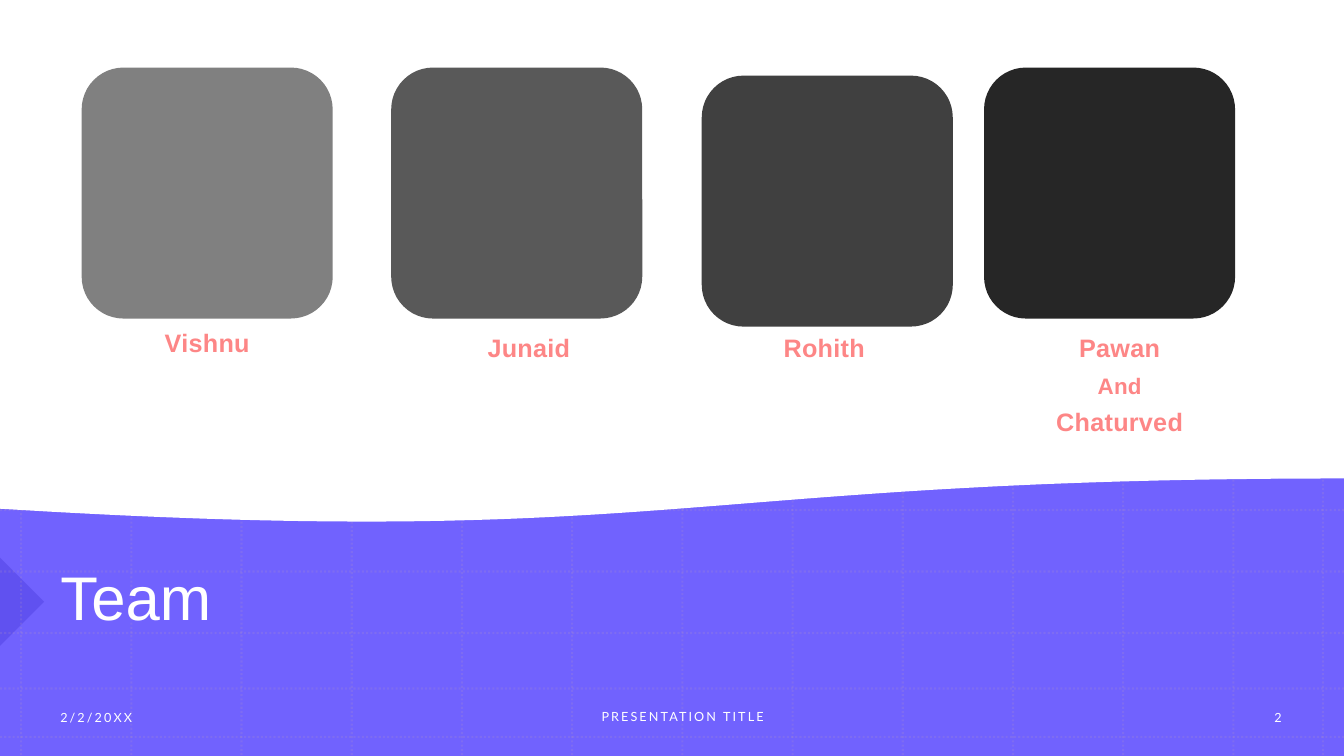
from lxml import etree
from pptx import Presentation
from pptx.dml.color import RGBColor
from pptx.enum.dml import MSO_LINE
from pptx.enum.shapes import MSO_CONNECTOR, MSO_SHAPE
from pptx.enum.text import MSO_ANCHOR, PP_ALIGN
from pptx.oxml.ns import qn
from pptx.util import Inches, Pt

WHITE = RGBColor(0xFF, 0xFF, 0xFF)
PURPLE = RGBColor(0x71, 0x62, 0xFE)
INDIGO = RGBColor(0x12, 0x01, 0xAF)
GRID = RGBColor(0xB4, 0x95, 0xC2)
CORAL = RGBColor(0xFD, 0x86, 0x86)
GRAYS = [RGBColor(v, v, v) for v in (0x80, 0x59, 0x40, 0x26)]
STRAIGHT = MSO_CONNECTOR.STRAIGHT
LEFT, CENTER = PP_ALIGN.LEFT, PP_ALIGN.CENTER
TOP, MIDDLE = MSO_ANCHOR.TOP, MSO_ANCHOR.MIDDLE
W, H = 13.33, 7.5


def set_alpha(fmt, percent):
    """Make a solid shape or line fill partly transparent."""
    color = fmt._xPr.find(qn("a:solidFill"))[0]
    etree.SubElement(color, qn("a:alpha"), val=str(percent * 1000))


def write(tf, lines, font, color, spacing, align, anchor, bold=False, after=0):
    """Fill a text frame with (text, size) paragraphs; after is a share of the size."""
    tf.word_wrap = True
    tf.vertical_anchor = anchor
    for i, (text, size) in enumerate(lines):
        p = tf.paragraphs[0] if i == 0 else tf.add_paragraph()
        p.alignment = align
        p.space_after = Pt(after * size)
        r = p.add_run()
        r.text = text
        for name, value in {"name": font, "size": Pt(size), "bold": bold}.items():
            setattr(r.font, name, value)
        r.font.color.rgb = color
        r._r.get_or_add_rPr().set("spc", str(round(spacing * 100)))


prs = Presentation()
prs.slide_width, prs.slide_height = Inches(W), Inches(H)
s = prs.slides.add_slide(prs.slide_layouts[5])
shapes = s.shapes

# Purple ground and side arrow
ground = shapes.add_shape(MSO_SHAPE.RECTANGLE, 0, 0, Inches(W), Inches(H))
arrow = shapes.add_shape(MSO_SHAPE.RIGHT_TRIANGLE, Inches(-0.31), Inches(5.66),
                         Inches(0.62), Inches(0.62))
arrow.rotation = 225
for sp, color in ((ground, PURPLE), (arrow, INDIGO)):
    sp.shadow.inherit = False
    sp.fill.solid()
    sp.fill.fore_color.rgb = color
    sp.line.fill.background()
set_alpha(arrow.fill, 17)

# Dotted grid on the ground
columns = [0.21 + 1.093 * i for i in range(12)] + [13.12]
rows = [5.06, 5.67, 6.28, 6.83, 7.31]
grid = [(x, 0, x, H) for x in columns] + [(0, y, W, y) for y in rows]
for ends in grid:
    line = shapes.add_connector(STRAIGHT, *(Inches(v) for v in ends))
    line.line.color.rgb = GRID
    line.line.width = Pt(1.5)
    line.line.dash_style = MSO_LINE.ROUND_DOT
    set_alpha(line.line.fill, 20)
    etree.SubElement(line._element.spPr, qn("a:effectLst"))

# White area whose lower edge is a cubic curve
curve = [(W, 4.74), (6.7, 4.74), (6.66, 5.45), (0, 5.04)]
steps = 80
edge = []
for i in range(steps + 1):
    t = i / steps
    weights = ((1 - t) ** 3, 3 * t * (1 - t) ** 2, 3 * t * t * (1 - t), t ** 3)
    edge.append(tuple(Inches(sum(w * pt[axis] for w, pt in zip(weights, curve)))
                      for axis in (0, 1)))
builder = shapes.build_freeform(0, 0)
builder.add_line_segments([(Inches(W), 0)] + edge, close=True)
wave = builder.convert_to_shape()
wave.shadow.inherit = False
wave.fill.solid()
wave.fill.fore_color.rgb = WHITE
wave.line.color.rgb = WHITE
wave.line.width = Pt(1)

# Title, brought in front of the ground
title = shapes.title
title.left, title.top = Inches(0.5), Inches(5.09)
title.width, title.height = Inches(11.75), Inches(1.74)
write(title.text_frame, [("Team", 44)], "Arial", WHITE, 0, LEFT, MIDDLE)
title.text_frame.paragraphs[0].line_spacing = 0.9
shapes._spTree.append(title._element)

# Footer
for text, x, y, width, align in (
        ("2/2/20XX", 0.5, 6.92, 2.8, LEFT),
        ("PRESENTATION TITLE", 4.59, 6.91, 4.36, CENTER),
        ("2", 12.24, 6.92, 0.87, CENTER)):
    box = shapes.add_textbox(Inches(x), Inches(y), Inches(width), Inches(0.4))
    write(box.text_frame, [(text, 9)], "Lato", WHITE, 1.5, align, MIDDLE)

# Team members: tile position, name position, name lines
side = Inches(2.49)
members = [
    (0.81, 0.67, 0.81, 3.25, [("Vishnu", 18)]),
    (3.88, 0.67, 4, 3.3, [("Junaid", 18)]),
    (6.96, 0.75, 6.93, 3.3, [("Rohith", 18)]),
    (9.76, 0.67, 9.86, 3.3, [("Pawan", 18), ("And", 16), ("Chaturved", 18)]),
]
for (x, y, name_x, name_y, lines), gray in zip(members, GRAYS):
    tile = shapes.add_shape(MSO_SHAPE.ROUNDED_RECTANGLE, Inches(x), Inches(y), side, side)
    tile.shadow.inherit = False
    tile.fill.solid()
    tile.fill.fore_color.rgb = gray
    tile.line.fill.background()
    box = shapes.add_textbox(Inches(name_x), Inches(name_y), side, Inches(0.51))
    tf = box.text_frame
    tf.margin_left = tf.margin_right = tf.margin_top = tf.margin_bottom = 0
    write(tf, lines, "Arial", CORAL, 0.2, CENTER, TOP, bold=True, after=0.35)

prs.save("out.pptx")
